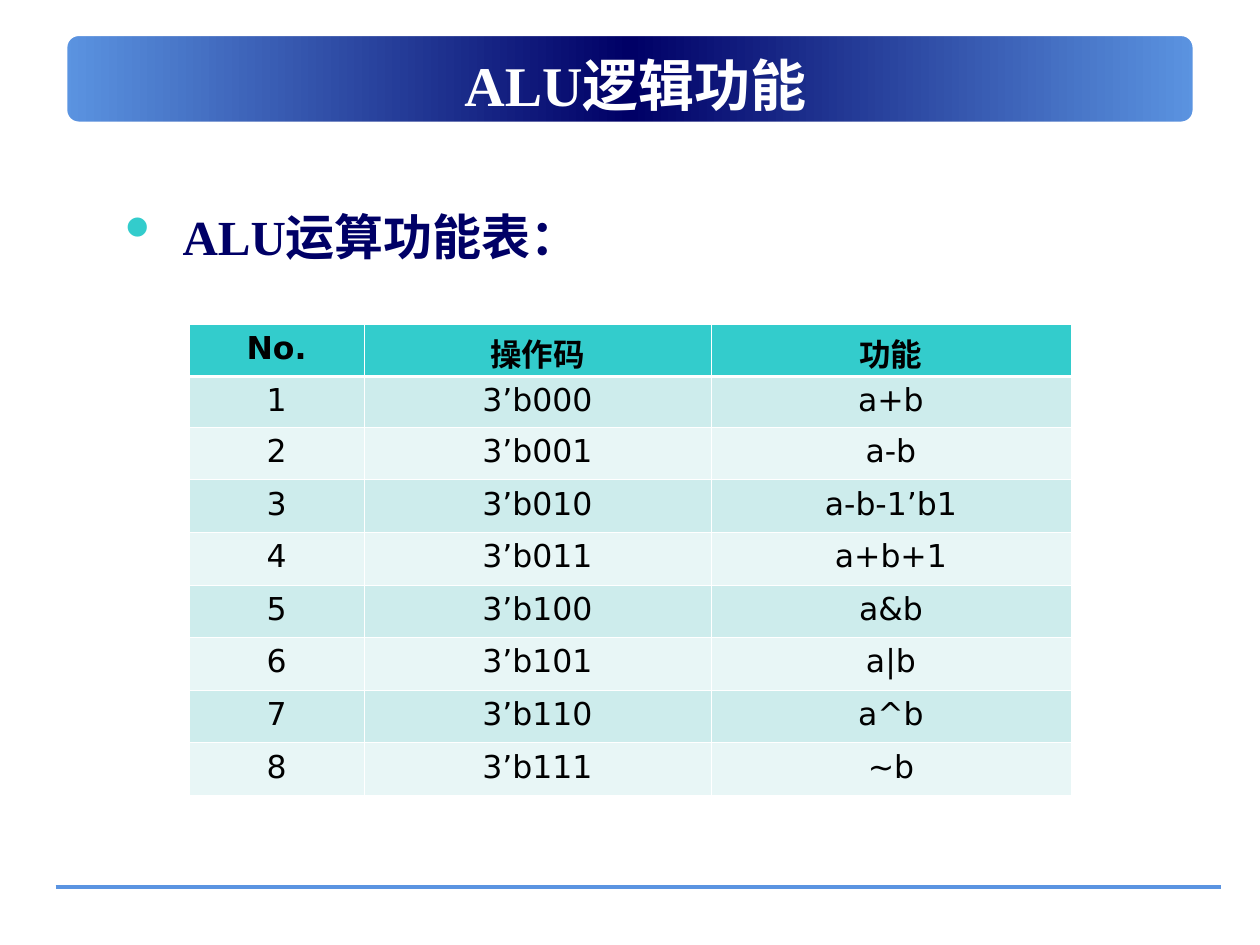
"""Build the slide that lists the logic functions of the ALU."""
from copy import deepcopy

from pptx import Presentation
from pptx.dml.color import RGBColor
from pptx.enum.shapes import MSO_CONNECTOR, MSO_SHAPE
from pptx.enum.text import MSO_ANCHOR, PP_ALIGN
from pptx.oxml import parse_xml
from pptx.oxml.ns import nsdecls
from pptx.util import Cm, Pt

WHITE = RGBColor(0xFF, 0xFF, 0xFF)
BLACK = RGBColor(0, 0, 0)
NAVY = RGBColor(0, 0, 0x66)
BLUE = RGBColor(0x5B, 0x94, 0xE1)
TEAL = RGBColor(0x33, 0xCC, 0xCC)
BANDS = [RGBColor(0xE8, 0xF6, 0xF6), RGBColor(0xCD, 0xEC, 0xEC)]
SERIF, SANS = "Times New Roman", "DejaVu Sans"
FUNCTIONS = ["a+b", "a-b", "a-b-1’b1", "a+b+1", "a&b", "a|b", "a^b", "~b"]


def write(frame, text, align, **font):
    paragraph = frame.paragraphs[0]
    paragraph.alignment = align
    run = paragraph.add_run()
    run.text = text
    run.font.color.rgb = font.pop("color")
    for key, value in font.items():
        setattr(run.font, key, value)
    return paragraph


def make(tag, inner="", **attributes):
    listed = " ".join(f'{key}="{value}"' for key, value in attributes.items())
    return parse_xml(f'<a:{tag} {nsdecls("a")} {listed}>{inner}</a:{tag}>')


prs = Presentation()
prs.slide_width, prs.slide_height = Cm(25.4), Cm(19.05)
slide = prs.slides.add_slide(prs.slide_layouts[6])
shapes = slide.shapes

banner = shapes.add_shape(MSO_SHAPE.ROUNDED_RECTANGLE, Cm(1.27), Cm(0.64), Cm(22.86), Cm(1.9))
banner.shadow.inherit = False
banner.line.color.rgb = WHITE
banner.line.width = Pt(5)
banner.fill.gradient()
banner.fill.gradient_angle = 0
first_stop = banner._element.xpath(".//a:gs")[0]
first_stop.addnext(deepcopy(first_stop))
for stop, position, color in zip(banner.fill.gradient_stops, (0, 0.5, 1), (BLUE, NAVY, BLUE)):
    stop.position = position
    stop.color.rgb = color

footer_rule = shapes.add_connector(MSO_CONNECTOR.STRAIGHT, Cm(1.12), Cm(17.88), Cm(24.61), Cm(17.88))
footer_rule.line.color.rgb = BLUE
footer_rule.line.width = Pt(2)
footer_rule._element.spPr.append(make("effectLst"))

title = shapes.add_textbox(Cm(1.7), Cm(0.84), Cm(22.23), Cm(1.7)).text_frame
title.word_wrap = True
title.vertical_anchor = MSO_ANCHOR.MIDDLE
write(title, "ALU逻辑功能", PP_ALIGN.CENTER, size=Pt(32), bold=True, name=SERIF, color=WHITE)

intro = shapes.add_textbox(Cm(2.29), Cm(2.72), Cm(21.59), Cm(11.43)).text_frame
intro.word_wrap = True
intro.margin_top = Cm(1.45)
heading = write(intro, " ALU运算功能表：", PP_ALIGN.LEFT, size=Pt(28), bold=True, name=SERIF, color=NAVY)
bullet = heading._p.get_or_add_pPr()
bullet.set("marL", str(Cm(0.95)))
bullet.set("indent", str(-Cm(0.95)))
bullet.append(make("buClr", f'<a:srgbClr val="{TEAL}"/>'))
bullet.append(make("buSzPct", val=150000))
bullet.append(make("buChar", char="•"))

rows = [("No.", "操作码", "功能")]
rows += [(str(code + 1), f"3’b{code:03b}", name) for code, name in enumerate(FUNCTIONS)]
table = shapes.add_table(len(rows), 3, Cm(3.81), Cm(6.53), Cm(17.78), Cm(9.5)).table
for column, width in zip(table.columns, (3.53, 6.99, 7.26)):
    column.width = Cm(width)

for r, values in enumerate(rows):
    table.rows[r].height = Cm(1.02 if r == 1 else 1.06)
    for c, value in enumerate(values):
        cell = table.cell(r, c)
        write(cell.text_frame, value, PP_ALIGN.CENTER, size=Pt(18), bold=r == 0, name=SANS, color=BLACK)
        cell.fill.solid()
        cell.fill.fore_color.rgb = BANDS[r % 2] if r else TEAL
        for index, side in enumerate("LRTB"):
            thick = (r, side) in ((0, "B"), (1, "T"))
            border = make(f"ln{side}", f'<a:solidFill><a:srgbClr val="{WHITE}"/></a:solidFill>',
                          w=Pt(1.5 if thick else 0.45))
            cell._tc.get_or_add_tcPr().insert(index, border)

prs.save("out.pptx")
